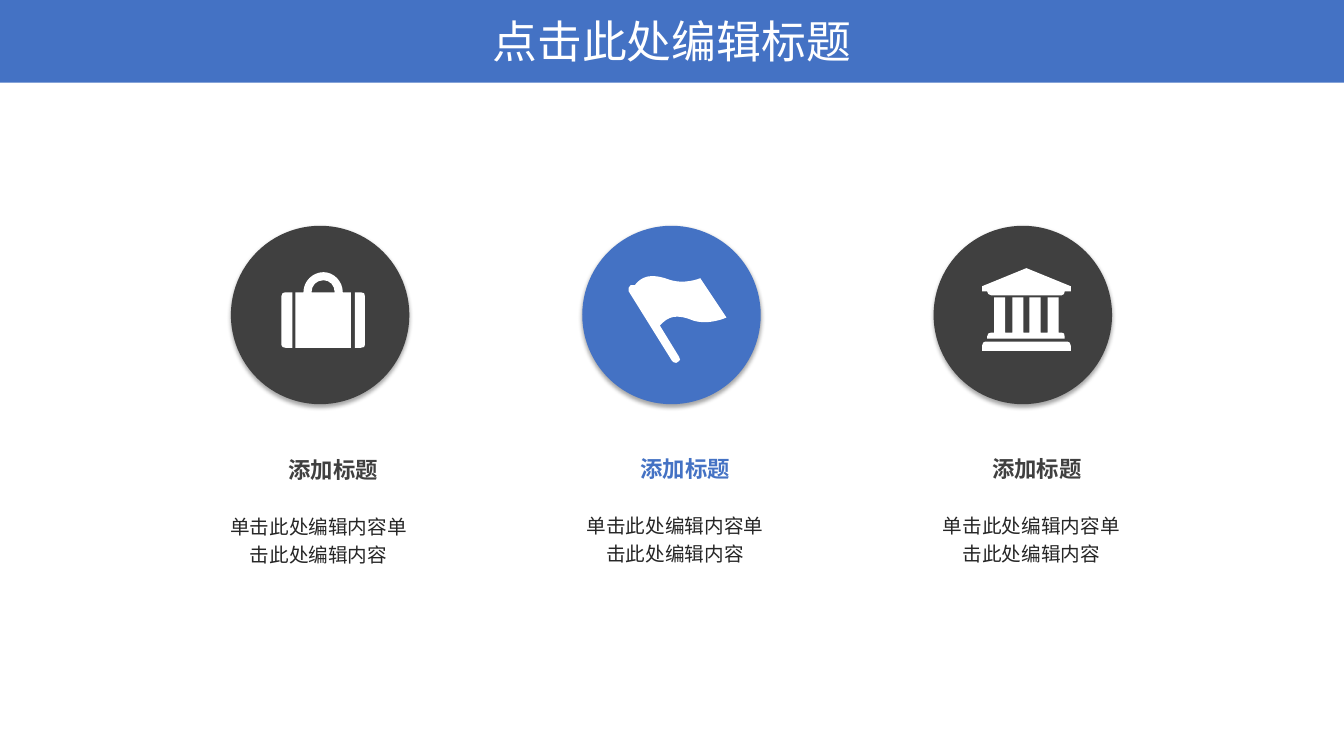
from lxml import etree
from pptx import Presentation
from pptx.dml.color import RGBColor
from pptx.enum.shapes import MSO_SHAPE
from pptx.enum.text import MSO_AUTO_SIZE, PP_ALIGN
from pptx.oxml.ns import qn
from pptx.util import Pt

RECTANGLE, OVAL = MSO_SHAPE.RECTANGLE, MSO_SHAPE.OVAL
CENTER = PP_ALIGN.CENTER
GROW = MSO_AUTO_SIZE.SHAPE_TO_FIT_TEXT

EMU_PER_PX = 9144  # 100 px to the inch
FONT = "Noto Sans CJK SC"
BLUE = RGBColor(0x44, 0x72, 0xC4)
GRAY = RGBColor(0x40, 0x40, 0x40)
INK = RGBColor(0x26, 0x26, 0x26)
WHITE = RGBColor(0xFF, 0xFF, 0xFF)

TITLE_FORMAT = {"size": Pt(32)}
HEADING_FORMAT = {"size": Pt(16), "bold": True}
BODY_FORMAT = {"size": Pt(14)}

CIRCLE_SIZE = 177
CIRCLE_TOP = 224

# Icon outlines in px from the corner of their circle:
# a pair is a corner point, six numbers are a Bézier curve.
SUITCASE = [
    [(129, 121), (123, 121), (123, 66), (129, 66), (132, 66, 133, 67, 133, 70),
     (133, 118), (133, 120, 132, 121, 129, 121)],
    [(64, 121), (64, 66), (72, 66), (72, 55, 81, 46, 92, 46),
     (102, 46, 111, 55, 111, 66), (119, 66), (119, 121)],
    [(92, 54), (85, 54, 80, 59, 80, 66), (103, 66), (103, 59, 98, 54, 92, 54)],
    [(50, 118), (50, 70), (50, 67, 52, 66, 54, 66), (61, 66), (61, 121),
     (54, 121), (52, 121, 50, 120, 50, 118)],
]
FLAG = [
    [(117, 52), (117, 52, 101, 59, 85, 53), (68, 47, 59, 50, 52, 59),
     (50, 59, 49, 59, 48, 59), (46, 60, 45, 63, 46, 65), (89, 134),
     (90, 135, 91, 136, 93, 136), (94, 136, 94, 136, 95, 135),
     (97, 134, 98, 132, 96, 130), (77, 99), (85, 90, 93, 87, 110, 94),
     (126, 99, 143, 91, 143, 91)],
]
COLUMNS = [point for x in (60, 78, 95, 113)
           for point in ((x, 106), (x, 71), (x + 11, 71), (x + 11, 106))]
BANK = [
    [(136, 60), (136, 65), (130, 65), (130, 67, 129, 69, 127, 69), (57, 69),
     (55, 69, 53, 67, 53, 65), (48, 65), (48, 60), (92, 42)],
    [(136, 119), (136, 124), (48, 124), (48, 119), (48, 116, 50, 115, 51, 115),
     (133, 115), (134, 115, 136, 116, 136, 119)],
    [(53, 112), (53, 110), (53, 107, 55, 106, 57, 106), *COLUMNS,
     (127, 106), (129, 106, 130, 107, 130, 110), (130, 112)],
]


def px(value):
    return round(value * EMU_PER_PX)


def paint(shape, color):
    shape.shadow.inherit = False
    shape.fill.solid()
    shape.fill.fore_color.rgb = color
    shape.line.fill.background()


def add_filled(slide, kind, box, color):
    shape = slide.shapes.add_shape(kind, *map(px, box))
    paint(shape, color)
    return shape


def add_circle(slide, left, color):
    """Add an icon disc with a soft shadow below it."""
    box = (left, CIRCLE_TOP, CIRCLE_SIZE, CIRCLE_SIZE)
    circle = add_filled(slide, OVAL, box, color)
    effects = circle.element.spPr.find(qn("a:effectLst"))
    shadow = etree.SubElement(effects, qn("a:outerShdw"), blurRad=str(Pt(3.1)),
                              dist=str(Pt(1.8)), dir="5400000", algn="t",
                              rotWithShape="0")
    black = etree.SubElement(shadow, qn("a:srgbClr"), val="000000")
    etree.SubElement(black, qn("a:alpha"), val="35000")


def bend_curves(icon, contours):
    """Join the three segments of each six-number step into one Bézier curve."""
    segments = iter(list(icon.element.iter(qn("a:lnTo"))))
    for contour in contours:
        for step in contour[1:]:
            curve = next(segments)
            if len(step) == 6:
                curve.tag = qn("a:cubicBezTo")
                for segment in (next(segments), next(segments)):
                    curve.append(segment[0])
                    segment.getparent().remove(segment)


def add_icon(slide, left, contours):
    builder = slide.shapes.build_freeform(*contours[0][0], scale=EMU_PER_PX)
    for i, contour in enumerate(contours):
        if i:
            builder.move_to(*contour[0])
        points = [step[k:k + 2] for step in contour[1:]
                  for k in range(0, len(step), 2)]
        builder.add_line_segments(points, close=True)
    icon = builder.convert_to_shape(px(left), px(CIRCLE_TOP))
    bend_curves(icon, contours)
    paint(icon, WHITE)


def add_label(slide, box, text, color, font_format, line_spacing=None):
    frame = slide.shapes.add_textbox(*map(px, box)).text_frame
    frame.word_wrap = True
    frame.auto_size = GROW
    paragraph = frame.paragraphs[0]
    paragraph.alignment = CENTER
    paragraph.line_spacing = line_spacing
    run = paragraph.add_run()
    run.text = text
    run.font.color.rgb = color
    run.font.name = FONT
    for name, value in font_format.items():
        setattr(run.font, name, value)
    etree.SubElement(run._r.get_or_add_rPr(), qn("a:ea"), typeface=FONT)


def main():
    deck = Presentation()
    deck.slide_width, deck.slide_height = px(1333), px(750)
    slide = deck.slides.add_slide(deck.slide_layouts[6])

    add_filled(slide, RECTANGLE, (0, 0, 1333, 82), BLUE)
    add_label(slide, (466, 9, 401, 64), "点击此处编辑标题", WHITE, TITLE_FORMAT)

    topics = [(SUITCASE, GRAY, 448), (FLAG, BLUE, 447), (BANK, GRAY, 447)]
    for i, (icon, color, heading_top) in enumerate(topics):
        circle_left = 229 + 697 * i / 2
        add_circle(slide, circle_left, color)
        add_icon(slide, circle_left, icon)
        add_label(slide, (261 + 349 * i, heading_top, 139, 37), "添加标题",
                  color, HEADING_FORMAT)
        add_label(slide, (214 + 707 * i / 2, heading_top + 53, 204, 95),
                  "单击此处编辑内容单击此处编辑内容", INK, BODY_FORMAT, 1.2)

    deck.save("out.pptx")


if __name__ == "__main__":
    main()
